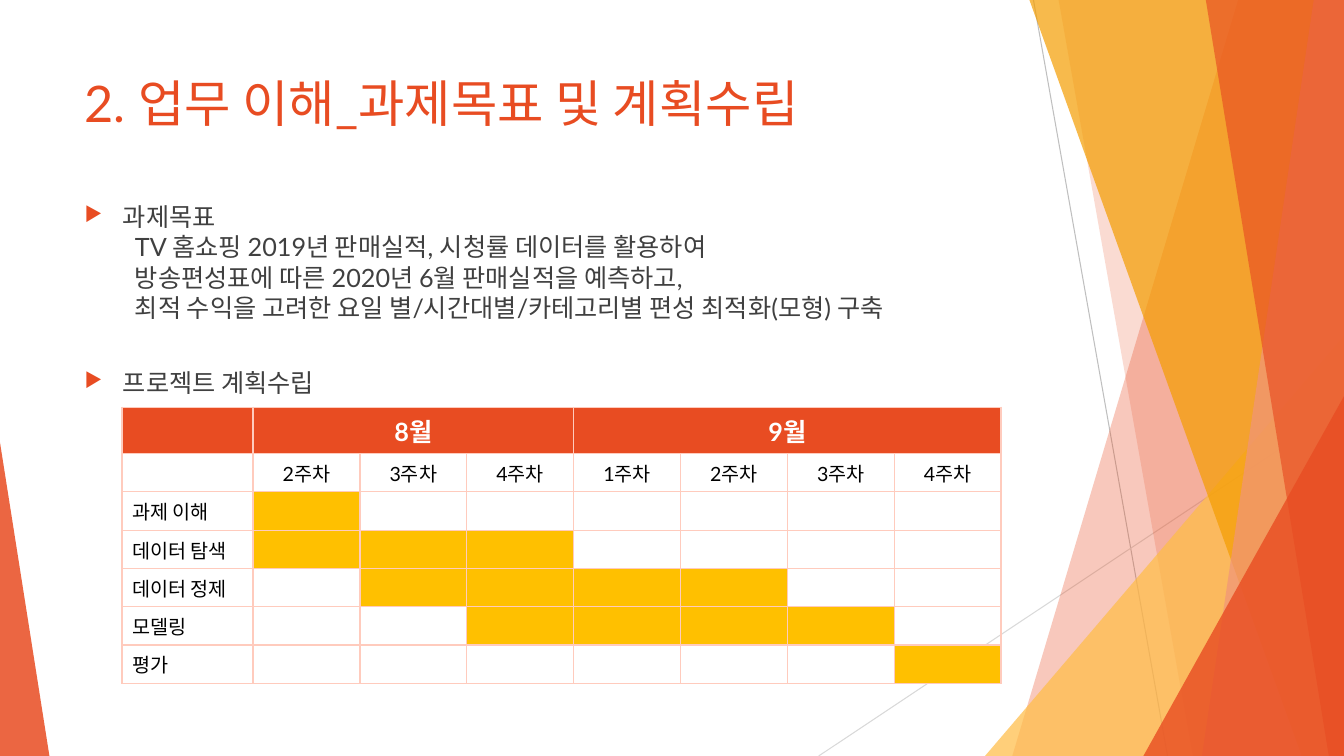
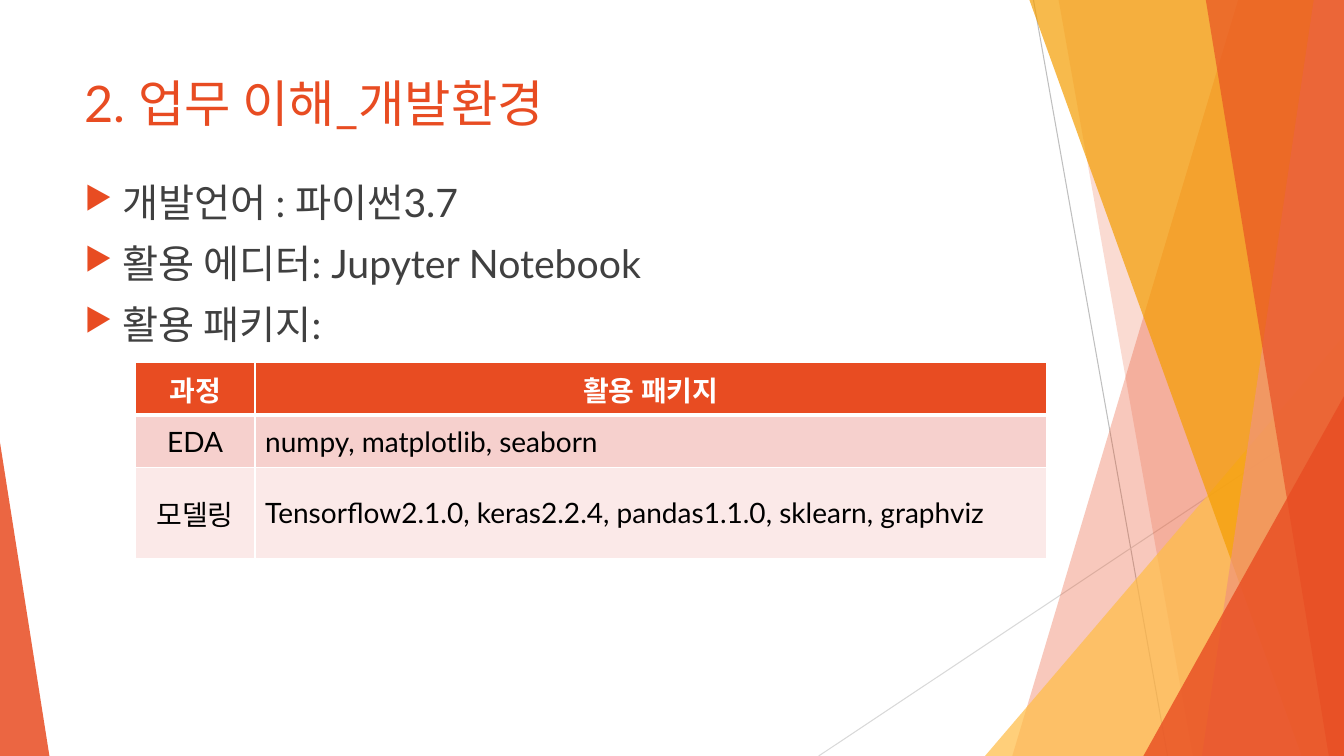
import pptx
import pptx.dml.color
import pptx.enum.shapes
import pptx.enum.text
import pptx.oxml.ns
import pptx.util
from lxml import etree

Inches = pptx.util.Inches
Pt = pptx.util.Pt
Color = pptx.dml.color.RGBColor.from_string
qn = pptx.oxml.ns.qn
Align = pptx.enum.text.PP_ALIGN
Anchor = pptx.enum.text.MSO_ANCHOR


class Theme:
    font = "Lato"
    accent, amber, gold, salmon = "E84C22", "FFBD47", "F49D00", "F1947A"
    text, black, white = "404040", "000000", "FFFFFF"
    plan, plan_grid = "FFC000", "FFCBBD"
    package_rows = ["F6D0CD", "FBE9E8"]
    title_size, plan_head, plan_size, package_size = 36, 18, 14, 20


def style_font(para, size, color, bold=False):
    para.font.name = Theme.font
    para.font.size = Pt(size)
    para.font.bold = bold
    para.font.color.rgb = Color(color)


def style_cell(cell, text, size, color, bold, align, fill, grid, top=1, bottom=1):
    """Write a table cell with its borders, fill and text."""
    properties = cell._tc.get_or_add_tcPr()
    for side, width in (("lnL", 1), ("lnR", 1), ("lnT", top), ("lnB", bottom)):
        border = etree.SubElement(properties, qn("a:" + side), w=str(Pt(width)))
        paint = etree.SubElement(border, qn("a:solidFill"))
        etree.SubElement(paint, qn("a:srgbClr"), val=grid)
    if fill:
        cell.fill.solid()
        cell.fill.fore_color.rgb = Color(fill)
    else:
        cell.fill.background()
    if not text:
        cell.margin_top = cell.margin_bottom = 0
        return
    cell.text = text
    para = cell.text_frame.paragraphs[0]
    para.alignment = align
    style_font(para, size, color, bold)


deck = pptx.Presentation()
deck.slide_width = Inches(13.33)
deck.slide_height = Inches(7.5)

# Shared decoration: thin lines, then see-through bands and triangles
lines = [((10.25, 0), (11.58, 7.5), "BFBFBF"), ((13.33, 4.03), (8.12, 7.5), "D9D9D9")]
# A band runs to the right edge from its top x and its bottom x;
# a triangle has left, top, width, height and the place of its peak.
decoration = [
    ("band", (12.28, 10.04), Theme.accent, 30),
    ("band", (10.5, 11.83), Theme.accent, 20),
    ("triangle", (9.77, 3.33, 3.56, 4.17, 1), Theme.amber, 72),
    ("band", (10.21, 12.91), Theme.gold, 70),
    ("band", (13.03, 11.92), Theme.salmon, 70),
    ("band", (11.96, 13.18), Theme.accent, 65),
    ("triangle", (11.34, 3.93, 1.99, 3.57, 1), Theme.accent, 80),
    ("triangle", (0, 4.39, 0.49, 3.11, 0), Theme.accent, 85),
]

# Page texts: title, body top, body size, paragraphs (bulleted, space before, text)
contents = [
    ("2. 업무 이해_과제목표 및 계획수립", 1.95, 18, [
        (True, 0, "과제목표"),
        (False, 0, "TV 홈쇼핑 2019년 판매실적, 시청률 데이터를 활용하여"),
        (False, 0, "방송편성표에 따른 2020년 6월 판매실적을 예측하고,"),
        (False, 0, "최적 수익을 고려한 요일 별/시간대별/카테고리별 편성 최적화(모형) 구축"),
        (True, 32, "프로젝트 계획수립"),
    ]),
    ("2. 업무 이해_개발환경", 1.72, 28, [
        (True, 0, "개발언어 : 파이썬3.7"),
        (True, 10, "활용 에디터: Jupyter Notebook"),
        (True, 10, "활용 패키지:"),
    ]),
]

pages = []
for title, body_top, body_size, paragraphs in contents:
    page = deck.slides.add_slide(deck.slide_layouts[6])
    pages.append(page)

    for start, end, color in lines:
        line = page.shapes.add_connector(
            pptx.enum.shapes.MSO_CONNECTOR.STRAIGHT,
            *[Inches(length) for length in start + end])
        line.line.color.rgb = Color(color)
        line.line.width = Pt(0.75)
        etree.SubElement(line._element.spPr, qn("a:effectLst"))

    for kind, geometry, color, opacity in decoration:
        if kind == "band":
            top_x, bottom_x = [Inches(x) for x in geometry]
            outline = page.shapes.build_freeform(top_x, 0)
            outline.add_line_segments([
                (deck.slide_width, 0), (deck.slide_width, deck.slide_height),
                (bottom_x, deck.slide_height)])
            shape = outline.convert_to_shape()
        else:
            *place, peak = geometry
            shape = page.shapes.add_shape(
                pptx.enum.shapes.MSO_SHAPE.ISOSCELES_TRIANGLE,
                *[Inches(length) for length in place])
            shape.adjustments[0] = peak
        shape.shadow.inherit = False
        shape.line.fill.background()
        shape.fill.solid()
        shape.fill.fore_color.rgb = Color(color)
        paint = shape._element.spPr.find(qn("a:solidFill"))[0]
        etree.SubElement(paint, qn("a:alpha"), val=str(opacity * 1000))

    # Title
    box = page.shapes.add_textbox(Inches(0.74), Inches(0.67), Inches(9.4), Inches(1))
    box.text_frame.word_wrap = True
    para = box.text_frame.paragraphs[0]
    para.text = title
    style_font(para, Theme.title_size, Theme.accent)

    # Body
    box = page.shapes.add_textbox(
        Inches(0.74), Inches(body_top), Inches(9.4), Inches(6.61 - body_top))
    box.text_frame.word_wrap = True
    for index, (bulleted, space, text) in enumerate(paragraphs):
        para = box.text_frame.paragraphs[0] if index == 0 else box.text_frame.add_paragraph()
        para.text = text
        if space:
            para.space_before = Pt(space)
        properties = para._p.get_or_add_pPr()
        properties.set("marL", str(Inches(0.38 if bulleted else 0.5)))
        properties.set("indent", str(Inches(-0.38 if bulleted else 0)))
        if bulleted:
            bullet_color = etree.SubElement(properties, qn("a:buClr"))
            etree.SubElement(bullet_color, qn("a:srgbClr"), val=Theme.accent)
            etree.SubElement(properties, qn("a:buSzPct"), val="80000")
            etree.SubElement(properties, qn("a:buChar"), char="▶")
        style_font(para, body_size, Theme.text)

# Project plan: each task with its first and last week column
months = [("8월", 1, 3), ("9월", 4, 7)]
weeks = ["2주차", "3주차", "4주차", "1주차", "2주차", "3주차", "4주차"]
tasks = [("과제 이해", 1, 1), ("데이터 탐색", 1, 3), ("데이터 정제", 2, 5),
         ("모델링", 3, 6), ("평가", 7, 7)]
plan = pages[0].shapes.add_table(
    len(tasks) + 2, len(weeks) + 1,
    Inches(1.21), Inches(4.04), Inches(8.72), Inches(2.74)).table
plan.first_row = plan.horz_banding = False
for index, column in enumerate(plan.columns):
    column.width = Inches(1.06 if index else 1.3)
for index, row in enumerate(plan.rows):
    row.height = Inches(0.38 if index else 0.46)

month_names = {first: name for name, first, last in months}
for column in range(len(weeks) + 1):
    style_cell(plan.cell(0, column), month_names.get(column, ""), Theme.plan_head,
               Theme.white, True, Align.CENTER, Theme.accent, Theme.plan_grid)
    style_cell(plan.cell(1, column), weeks[column - 1] if column else "", Theme.plan_size,
               Theme.black, False, Align.CENTER, None, Theme.plan_grid)
    for row, (task, first, last) in enumerate(tasks, 2):
        style_cell(plan.cell(row, column), "" if column else task, Theme.plan_size,
                   Theme.black, False, Align.LEFT,
                   Theme.plan if first <= column <= last else None, Theme.plan_grid)
for name, first, last in months:
    plan.cell(0, first).merge(plan.cell(0, last))

# Packages by stage
packages = [
    ("과정", "활용 패키지"),
    ("EDA", "numpy, matplotlib, seaborn"),
    ("모델링", "Tensorflow2.1.0, keras2.2.4, pandas1.1.0, sklearn, graphviz"),
]
table = pages[1].shapes.add_table(
    3, 2, Inches(1.34), Inches(3.6), Inches(9.04), Inches(1.94)).table
table.first_row = table.horz_banding = False
for column, width in zip(table.columns, (1.19, 7.85)):
    column.width = Inches(width)
for row, height in zip(table.rows, (0.52, 0.52, 0.9)):
    row.height = Inches(height)
for row, texts in enumerate(packages):
    head = row == 0
    for column, text in enumerate(texts):
        cell = table.cell(row, column)
        style_cell(cell, text, Theme.package_size,
                   Theme.white if head else Theme.black, head,
                   Align.CENTER if head or column == 0 else Align.LEFT,
                   Theme.accent if head else Theme.package_rows[row - 1], Theme.white,
                   top=3 if row == 1 else 1, bottom=3 if head else 1)
        cell.vertical_anchor = Anchor.MIDDLE

deck.save("out.pptx")
